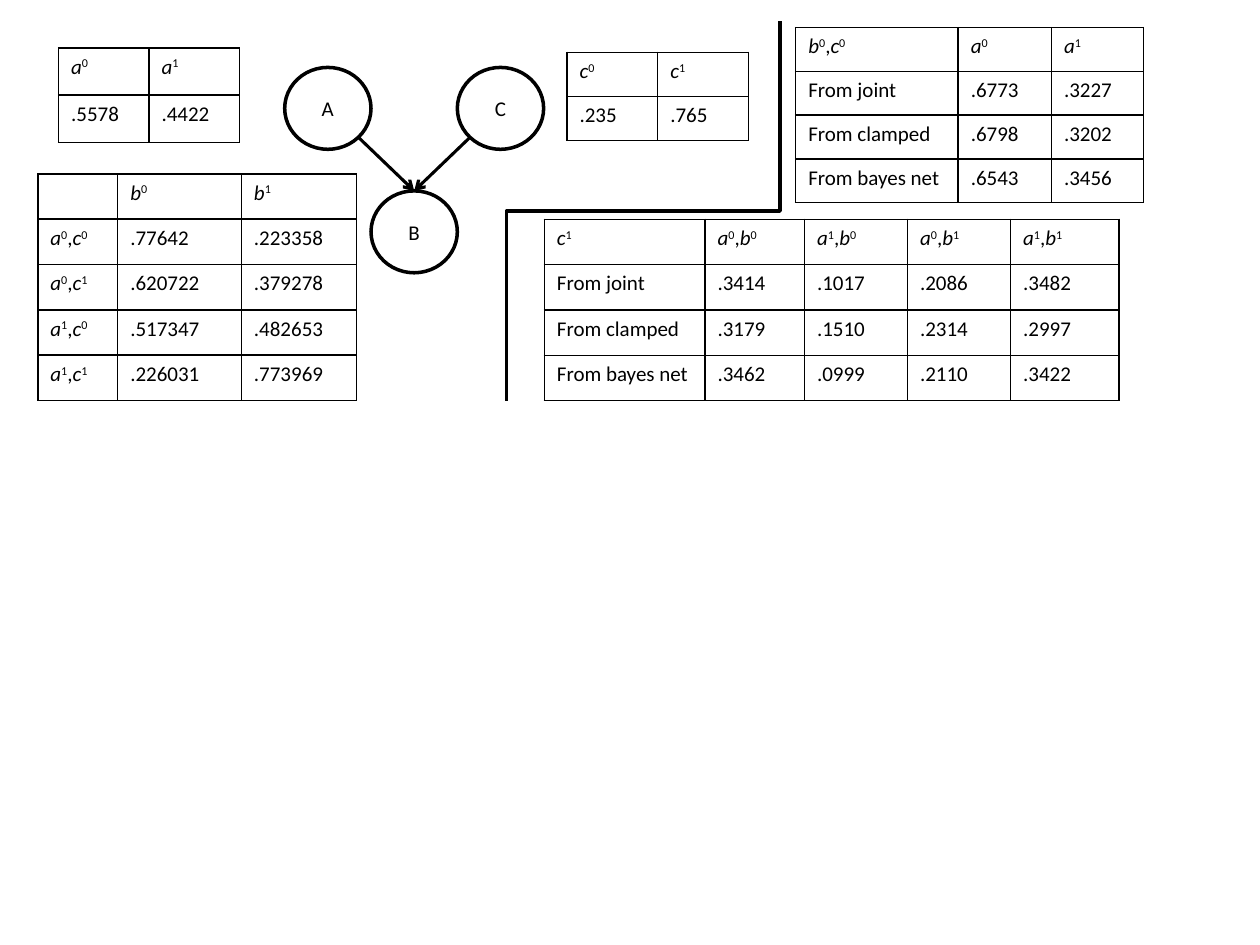
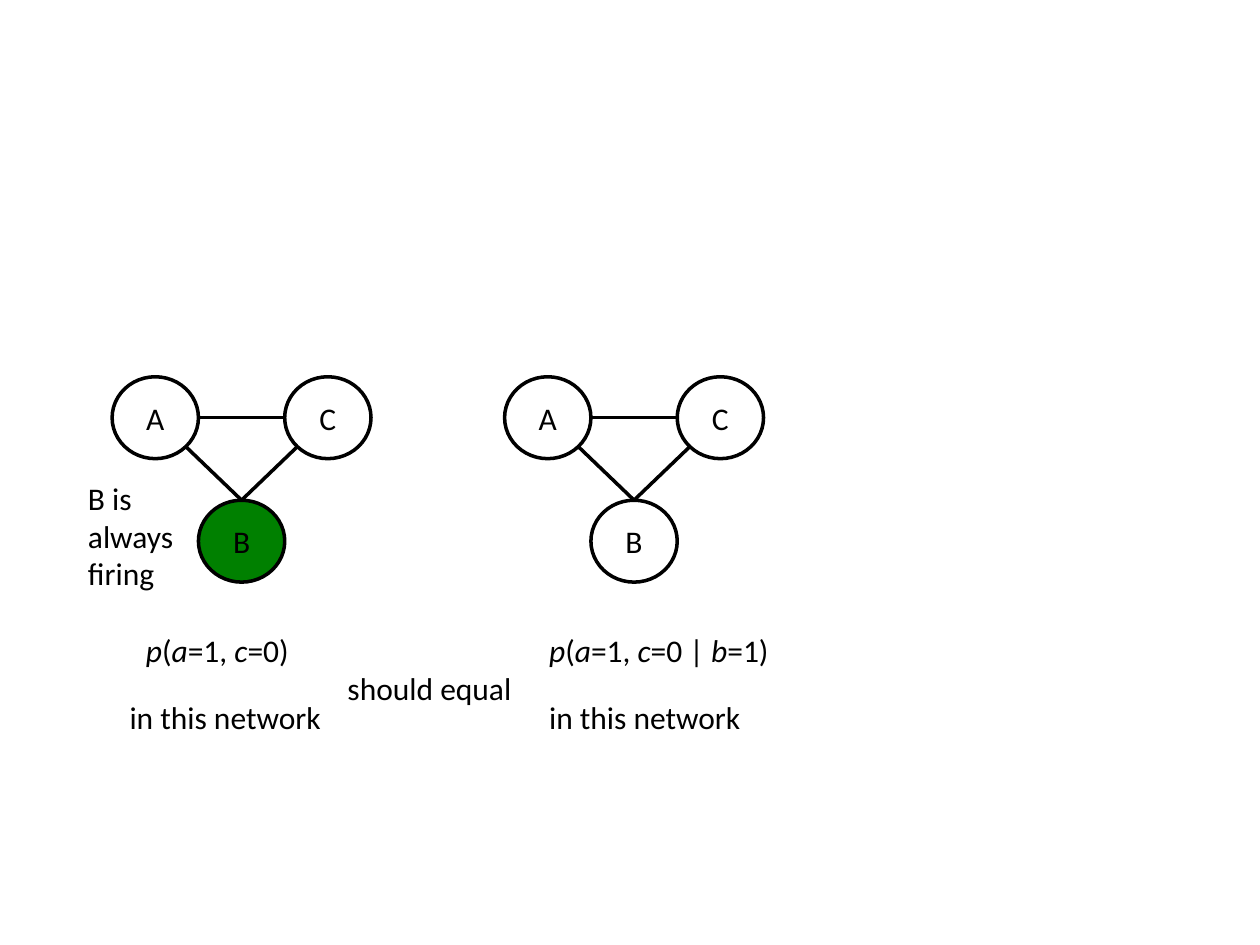
import dataclasses
import itertools

import lxml.etree
import pptx
import pptx.dml.color
import pptx.enum.shapes
import pptx.enum.text
import pptx.oxml.ns
import pptx.util

COLUMNS, ROWS = 100, 75
WIDTH, HEIGHT = pptx.util.Inches(10), pptx.util.Inches(7.5)
NODE_WIDTH, NODE_HEIGHT = 6.85, 6.5
B_DROP = 9.8
DIAGONAL = (1 + 0.5 ** 0.5) / 2


@dataclasses.dataclass(frozen=True)
class Theme:
    """Colours, font, type sizes and line widths of both slides."""
    ink: str = "000000"
    paper: str = "FFFFFF"
    firing: str = "008000"
    font: str = "Calibri"
    small: int = 12
    large: int = 18
    outline: float = 2
    arrow: float = 1.75
    border: float = 1


THEME = Theme()


def rgb(colour):
    """Turn a hex string into a colour."""
    return pptx.dml.color.RGBColor.from_string(colour)


def across(columns):
    """Convert grid columns to a length."""
    return round(WIDTH * columns / COLUMNS)


def down(rows):
    """Convert grid rows to a length."""
    return round(HEIGHT * rows / ROWS)


def box(left, top, width, height):
    """Convert a box on the grid to four lengths."""
    return across(left), down(top), across(width), down(height)


def sub(parent, tag, **attributes):
    """Append a drawing element."""
    return lxml.etree.SubElement(parent, pptx.oxml.ns.qn(tag), **attributes)


def style_runs(paragraph, size):
    """Give every run of a paragraph the theme's font and ink."""
    for run in paragraph.runs:
        run.font.name = THEME.font
        run.font.size = pptx.util.Pt(size)
        run.font.color.rgb = rgb(THEME.ink)


def write_plain(paragraph, text, size):
    """Write upright text."""
    paragraph.text = text
    style_runs(paragraph, size)


def character_kind(character):
    """Sort a character of a variable pair into letter, digit or mark."""
    if character.isalpha():
        return "letter"
    return "digit" if character.isdigit() else "mark"


def write_variables(paragraph, text, size):
    """Write variables in italics with their states as superscripts."""
    for kind, characters in itertools.groupby(text, character_kind):
        run = paragraph.add_run()
        run.text = "".join(characters)
        run.font.italic = kind == "letter"
        if kind == "digit":
            run.font._element.set("baseline", "30000")
    style_runs(paragraph, size)


def write_formula(paragraph, text, size):
    """Write a formula with its letters in italics."""
    for is_letter, characters in itertools.groupby(text, str.isalpha):
        run = paragraph.add_run()
        run.text = "".join(characters)
        run.font.italic = is_letter
    style_runs(paragraph, size)


def add_caption(slide, text, left, top, width, height=4, write=write_plain):
    """Add a wrapped line of text."""
    frame = slide.shapes.add_textbox(*box(left, top, width, height)).text_frame
    frame.word_wrap = True
    write(frame.paragraphs[0], text, THEME.large)


def add_node(slide, label, left, top, size, fill):
    """Add a labelled circle of a network."""
    node = slide.shapes.add_shape(
        pptx.enum.shapes.MSO_SHAPE.OVAL, *box(left, top, NODE_WIDTH, NODE_HEIGHT))
    node.shadow.inherit = False
    node.fill.solid()
    node.fill.fore_color.rgb = rgb(fill)
    node.line.color.rgb = rgb(THEME.ink)
    node.line.width = pptx.util.Pt(THEME.outline)
    node.text_frame.vertical_anchor = pptx.enum.text.MSO_ANCHOR.MIDDLE
    paragraph = node.text_frame.paragraphs[0]
    paragraph.alignment = pptx.enum.text.PP_ALIGN.CENTER
    write_plain(paragraph, label, size)
    return node


def add_line(slide, start, end, width=THEME.outline, kind="STRAIGHT", arrow=False):
    """Add a connector between two grid points."""
    line = slide.shapes.add_connector(
        pptx.enum.shapes.MSO_CONNECTOR[kind],
        across(start[0]), down(start[1]), across(end[0]), down(end[1]))
    line.line.color.rgb = rgb(THEME.ink)
    line.line.width = pptx.util.Pt(width)
    if arrow:
        sub(line.line._get_or_add_ln(), "a:tailEnd", type="arrow")
    sub(line._element.spPr, "a:effectLst")
    return line


def add_network(slide, left, top, size, directed=False, b_fill=THEME.paper):
    """Add nodes A and C above B, joined by arrows or plain lines."""
    c_left = left + 2 * NODE_WIDTH
    b_node = add_node(slide, "B", left + NODE_WIDTH, top + B_DROP, size, b_fill)
    add_node(slide, "C", c_left, top, size, THEME.paper)
    add_node(slide, "A", left, top, size, THEME.paper)
    b_top = left + 1.5 * NODE_WIDTH, top + B_DROP
    width = THEME.arrow if directed else THEME.outline
    for parent_left, share in ((left, DIAGONAL), (c_left, 1 - DIAGONAL)):
        rim = parent_left + share * NODE_WIDTH, top + DIAGONAL * NODE_HEIGHT
        edge = add_line(slide, rim, b_top, width, arrow=directed)
        edge.end_connect(b_node, 0)
    if not directed:
        middle = top + NODE_HEIGHT / 2
        add_line(slide, (left + NODE_WIDTH, middle), (c_left, middle))


def border_cell(cell):
    """Rule all four sides of a table cell and leave it unfilled."""
    properties = cell._tc.get_or_add_tcPr()
    for side in ("a:lnL", "a:lnR", "a:lnT", "a:lnB"):
        rule = sub(properties, side, w=str(pptx.util.Pt(THEME.border)))
        sub(sub(rule, "a:solidFill"), "a:srgbClr", val=THEME.ink)
    cell.fill.background()


def add_probabilities(slide, left, top, widths, row_height, rows):
    """Add a ruled table of probabilities."""
    table = slide.shapes.add_table(
        len(rows), len(widths),
        *box(left, top, sum(widths), row_height * len(rows))).table
    table.first_row = table.horz_banding = False
    for column, width in zip(table.columns, widths):
        column.width = across(width)
    for row, texts in zip(table.rows, rows):
        row.height = down(row_height)
        for cell, text in zip(row.cells, texts):
            paragraph = cell.text_frame.paragraphs[0]
            write = write_variables if text[:1].islower() else write_plain
            write(paragraph, text, THEME.small)
            sub(paragraph._p, "a:endParaRPr", sz=str(THEME.small * 100))
            border_cell(cell)


def build_bayes_net(slide):
    """Show the directed network with its tables and the comparison."""
    add_network(slide, 22.6, 5.35, THEME.small, directed=True)
    add_probabilities(slide, 4.65, 3.8, [7.17] * 2, 3.75, [
        ("a0", "a1"), (".5578", ".4422")])
    add_probabilities(slide, 45, 4.15, [7.2] * 2, 3.5, [
        ("c0", "c1"), (".235", ".765")])
    add_probabilities(slide, 3, 13.8, [6.34, 9.82, 9.14], 3.6, [
        ("", "b0", "b1"),
        ("a0,c0", ".77642", ".223358"),
        ("a0,c1", ".620722", ".379278"),
        ("a1,c0", ".517347", ".482653"),
        ("a1,c1", ".226031", ".773969")])
    add_probabilities(slide, 63.15, 2.2, [12.9, 7.4, 7.3], 3.47, [
        ("b0,c0", "a0", "a1"),
        ("From joint", ".6773", ".3227"),
        ("From clamped", ".6798", ".3202"),
        ("From bayes net", ".6543", ".3456")])
    add_probabilities(slide, 43.2, 17.4, [12.75, 7.9, 8.18, 8.18, 8.6], 3.6, [
        ("c1", "a0,b0", "a1,b0", "a0,b1", "a1,b1"),
        ("From joint", ".3414", ".1017", ".2086", ".3482"),
        ("From clamped", ".3179", ".1510", ".2314", ".2997"),
        ("From bayes net", ".3462", ".0999", ".2110", ".3422")])
    divider = add_line(slide, (36, 5.9), (66.1, 27.6), kind="ELBOW")
    divider._element.spPr.xfrm.set("rot", str(90 * 60000))


def build_clamping(slide):
    """Compare the clamped network with the conditioned one."""
    add_network(slide, 8.9, 29.9, THEME.large, b_fill=THEME.firing)
    add_network(slide, 40.05, 29.9, THEME.large)
    add_caption(slide, "B is always firing", 6, 37.5, 10.4, 10.1)
    add_caption(slide, "p(a=1, c=0)", 10.6, 49.6, 24, write=write_formula)
    add_caption(slide, "should equal", 26.6, 52.6, 16)
    add_caption(slide, "in this network", 9.3, 54.9, 25.3)
    add_caption(slide, "p(a=1, c=0 | b=1)", 42.6, 49.6, 24, write=write_formula)
    add_caption(slide, "in this network", 42.6, 54.9, 25.3)


def main():
    """Build and save the presentation."""
    deck = pptx.Presentation()
    deck.slide_width, deck.slide_height = WIDTH, HEIGHT
    blank = deck.slide_layouts[6]
    for build in (build_bayes_net, build_clamping):
        build(deck.slides.add_slide(blank))
    deck.save("out.pptx")


if __name__ == "__main__":
    main()
